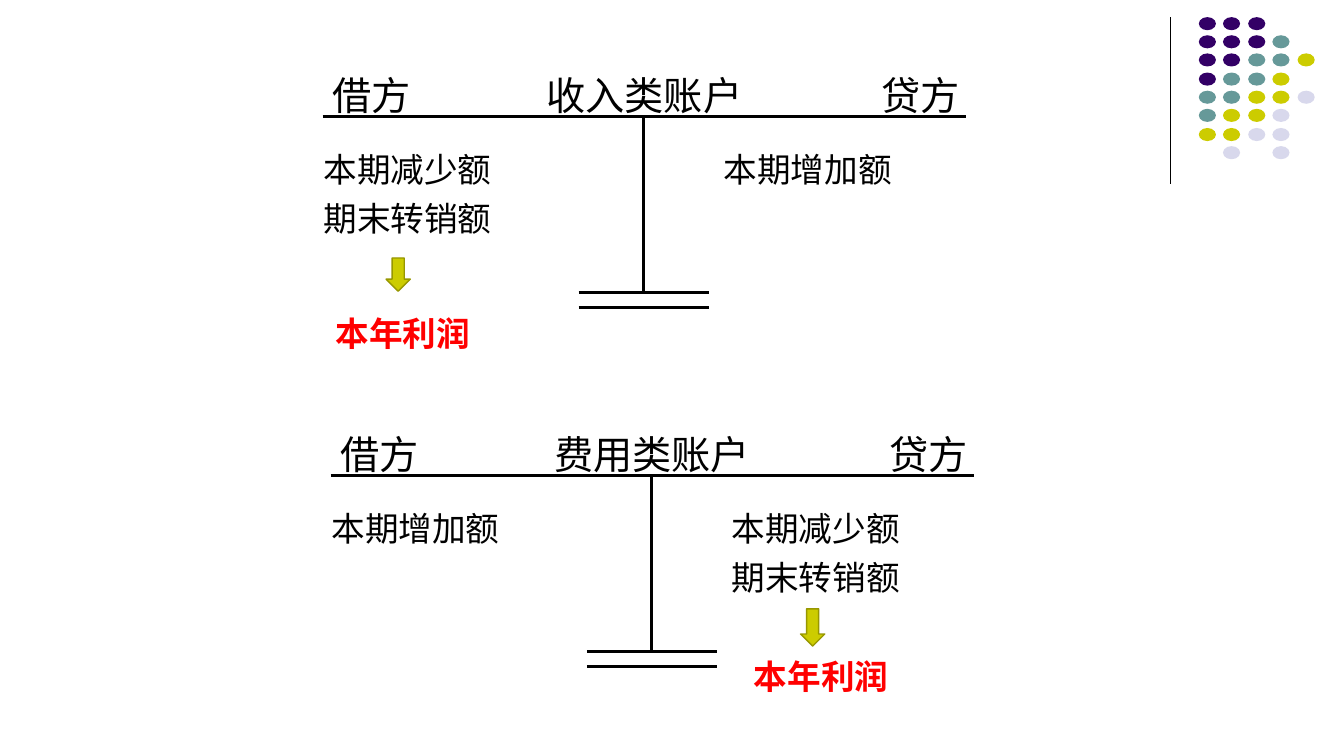
import lxml.etree
import pptx
import pptx.dml.color
import pptx.enum.shapes
import pptx.enum.text
import pptx.oxml.ns
import pptx.util

PX = 9144  # EMU; 100 px to the inch
FONT = "Noto Sans CJK SC"
BLACK, RED, OLIVE, DARK_OLIVE = "000000", "FF0000", "CCCC00", "979700"
DOT_COLOURS = {"p": "330066", "t": "669999", "y": OLIVE, "l": "D8D8EC"}
DOT_ROWS = ["ppp", "pppt", "pptty", "ptty", "ttyyl", "tyyl", "yyll", " l l"]
ALIGN = pptx.enum.text.PP_ALIGN
SHAPE = pptx.enum.shapes.MSO_SHAPE

ACCOUNTS = [
    {"left": 320, "top": 61, "name": "收入类账户",
     "debit": ["本期减少额", "期末转销额"], "credit": ["本期增加额"],
     "arrow": (63, 195, 24, 33), "profit": (-19, 241, 197, 63)},
    {"left": 328, "top": 417, "name": "费用类账户",
     "debit": ["本期增加额"], "credit": ["本期减少额", "期末转销额"],
     "arrow": (466, 187, 24, 37), "profit": (388, 225, 197, 63)},
]


def px(*lengths):
    return [length * PX for length in lengths]


def colour(hex_code):
    return pptx.dml.color.RGBColor.from_string(hex_code)


def qn(tag):
    return pptx.oxml.ns.qn(tag)


def rule(shapes, x1, y1, x2, y2, weight=2.25):
    line = shapes.add_connector(
        pptx.enum.shapes.MSO_CONNECTOR.STRAIGHT, *px(x1, y1, x2, y2))
    line.line.color.rgb = colour(BLACK)
    line.line.width = pptx.util.Pt(weight)
    lxml.etree.SubElement(line._element.spPr, qn("a:effectLst"))


def solid(shapes, kind, box, fill, outline=None):
    shape = shapes.add_shape(kind, *px(*box))
    shape.shadow.inherit = False
    shape.fill.solid()
    shape.fill.fore_color.rgb = colour(fill)
    if outline:
        shape.line.color.rgb = colour(outline)
        shape.line.width = pptx.util.Pt(1)
    else:
        shape.line.fill.background()


def write(holder, lines, size, align=ALIGN.JUSTIFY, ink=BLACK, bold=False):
    frame = holder.text_frame
    frame.word_wrap = True
    frame.auto_size = pptx.enum.text.MSO_AUTO_SIZE.NONE
    frame.vertical_anchor = pptx.enum.text.MSO_ANCHOR.TOP
    frame.text = "\n".join(lines)
    for index, paragraph in enumerate(frame.paragraphs):
        layout = {"alignment": align, "line_spacing": 1.1,
                  "space_before": pptx.util.Pt(3 if index else 0)}
        for key, value in layout.items():
            setattr(paragraph, key, value)
        properties = paragraph._p.get_or_add_pPr()
        for key in ("marL", "indent"):
            properties.set(key, "0")
        lxml.etree.SubElement(properties, qn("a:buNone"))
        run = paragraph.runs[0]
        style = {"name": FONT, "size": pptx.util.Pt(size), "bold": bold}
        for key, value in style.items():
            setattr(run.font, key, value)
        run.font.color.rgb = colour(ink)
        east_asian = lxml.etree.SubElement(run._r.get_or_add_rPr(), qn("a:ea"))
        east_asian.set("typeface", FONT)


def corner_dots(slide, left, top):
    rule(slide.shapes, left - 28, top, left - 28, top + 166, 0.75)
    dots = slide.shapes.add_group_shape().shapes
    for row, pattern in enumerate(DOT_ROWS):
        for column, key in enumerate(pattern):
            if key in DOT_COLOURS:
                box = (left + 49 * column // 2, top + 55 * row // 3, 17, 13)
                solid(dots, SHAPE.OVAL, box, DOT_COLOURS[key])


def t_account(slide, account, heading=None):
    """Draw one T-account; its name goes into heading if one is given."""
    left, top, shapes = account["left"], account["top"], slide.shapes

    def place(x, y, width, height):
        return left + x, top + y, width, height

    def label(box, *content, **style):
        write(shapes.add_textbox(*px(*place(*box))), *content, **style)

    name_box = (212, 0, 307, 79)
    if heading is None:
        label(name_box, [account["name"]], 28)
    else:
        sides = ("left", "top", "width", "height")
        for side, value in zip(sides, px(*place(*name_box))):
            setattr(heading, side, value)
        write(heading, [account["name"]], 28)

    label((0, 0, 102, 79), ["借方"], 28)
    label((544, 0, 102, 79), ["贷方"], 28)
    label((-9, 78, 197, 110), account["debit"], 24)
    label((388, 78, 197, 110), account["credit"], 24)
    for x1, y1, x2, y2 in [(0, 55, 638, 55), (318, 55, 318, 229),
                           (254, 229, 383, 229), (254, 244, 383, 244)]:
        rule(shapes, left + x1, top + y1, left + x2, top + y2)
    solid(shapes, SHAPE.DOWN_ARROW, place(*account["arrow"]),
          OLIVE, DARK_OLIVE)
    label(account["profit"], ["本年利润"], 24,
          align=ALIGN.CENTER, ink=RED, bold=True)


def main():
    deck = pptx.Presentation()
    deck.slide_width, deck.slide_height = px(1333, 750)
    slide = deck.slides.add_slide(deck.slide_layouts[1])
    title = slide.shapes.title._element
    title.getparent().remove(title)
    corner_dots(slide, 1189, 17)
    revenue, expense = ACCOUNTS
    t_account(slide, revenue, slide.placeholders[1])
    t_account(slide, expense)
    deck.save("out.pptx")


if __name__ == "__main__":
    main()
